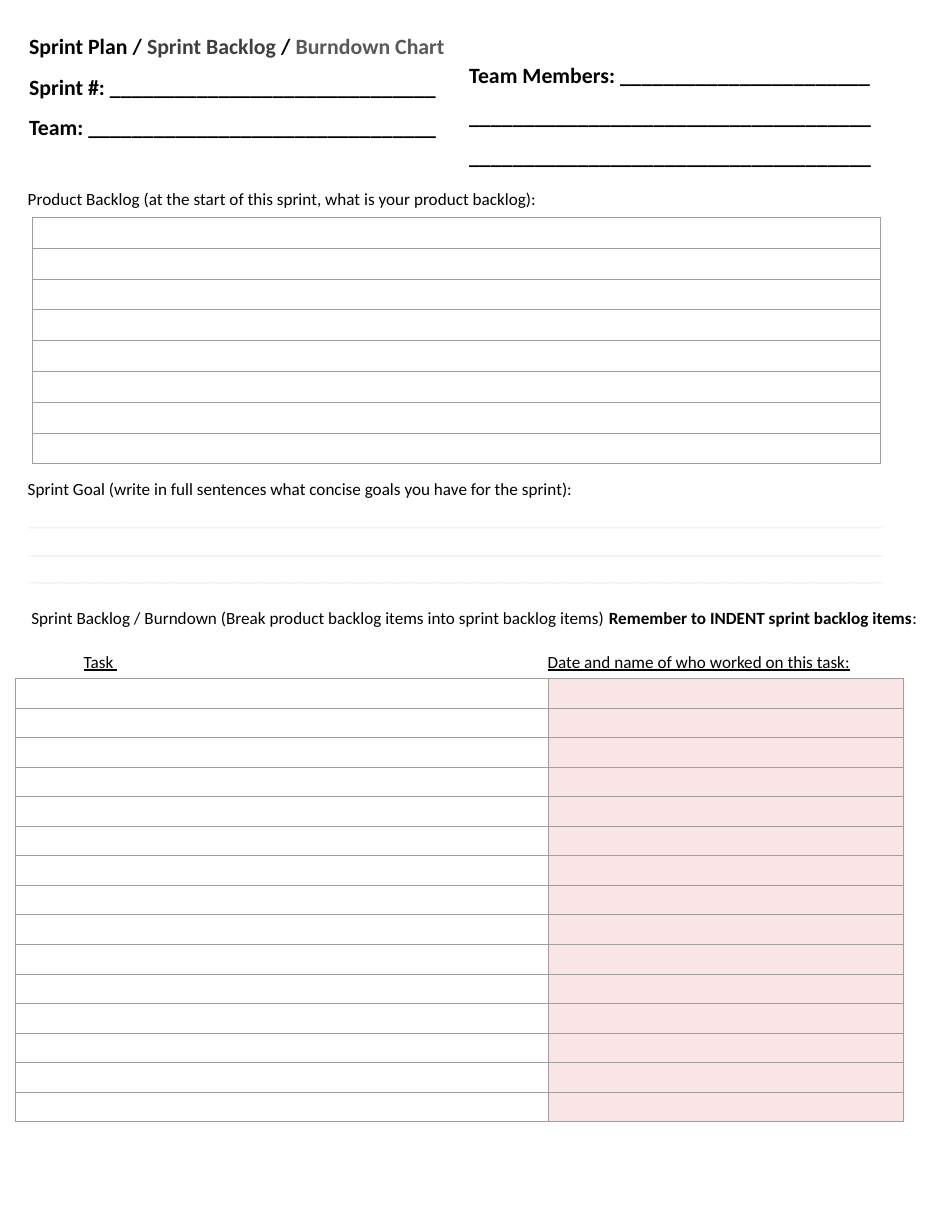
from lxml import etree
from pptx import Presentation
from pptx.dml.color import RGBColor
from pptx.oxml.ns import qn
from pptx.util import Cm, Pt

COLORS = {
    "ink": "000000",
    "backlog": "404040",
    "burndown": "595959",
    "grid": "9E9E9E",
    "rule": "F2F2F2",
    "worker": "FAE5E6",
}
BLANK_LAYOUT = 6
BORDER_SIDES = ("a:lnL", "a:lnR", "a:lnT", "a:lnB")


def add_text(slide, left, top, width, height, paragraphs, size,
             font="Calibri", spacing=1.0, after=0):
    """Place paragraphs of (text, color, bold, underline) runs in a box given in cm."""
    frame = slide.shapes.add_textbox(Cm(left), Cm(top), Cm(width), Cm(height)).text_frame
    frame.word_wrap = True
    for index, pieces in enumerate(paragraphs):
        paragraph = frame.add_paragraph() if index else frame.paragraphs[0]
        paragraph.line_spacing = spacing
        paragraph.space_after = Pt(after)
        for text, color, bold, underline in pieces:
            run = paragraph.add_run()
            run.text = text
            run.font.name = font
            run.font.size = Pt(size)
            run.font.bold = bold
            run.font.underline = underline
            run.font.color.rgb = RGBColor.from_string(COLORS[color])


def style_cell(cell, fill):
    """Give an empty cell thin borders, small text and an optional fill."""
    cell.margin_top = cell.margin_bottom = 0
    end = etree.SubElement(cell.text_frame.paragraphs[0]._p, qn("a:endParaRPr"))
    end.set("sz", "1100")
    properties = cell._tc.get_or_add_tcPr()
    for side in BORDER_SIDES:
        line = etree.SubElement(properties, qn(side), w=str(Pt(0.75)))
        solid = etree.SubElement(line, qn("a:solidFill"))
        etree.SubElement(solid, qn("a:srgbClr"), val=COLORS["grid"])
    if fill:
        cell.fill.solid()
        cell.fill.fore_color.rgb = RGBColor.from_string(COLORS[fill])
    else:
        cell.fill.background()


def add_grid(slide, left, top, columns, row_count, row_height):
    """Draw an empty table whose columns are (width, fill) pairs."""
    total = sum(width for width, _ in columns)
    grid = slide.shapes.add_table(row_count, len(columns), Cm(left), Cm(top),
                                  Cm(total), Cm(row_count * row_height)).table
    grid.first_row = grid.horz_banding = False
    for column, (width, _) in zip(grid.columns, columns):
        column.width = Cm(width)
    for row in grid.rows:
        row.height = Cm(row_height)
        for cell, (_, fill) in zip(row.cells, columns):
            style_cell(cell, fill)


def add_header(slide, left, top, width):
    """Write the title, the sprint and team blanks and the member lines."""
    title = [
        ("Sprint Plan / ", "ink", True, False),
        ("Sprint Backlog ", "backlog", True, False),
        ("/ ", "ink", True, False),
        ("Burndown Chart", "burndown", True, False),
    ]
    sprint = [("Sprint #: " + "_" * 30, "ink", True, False)]
    team = [("Team: " + "_" * 32, "ink", True, False)]
    members = [("Team Members: " + "_" * 23, "ink", True, False)]
    member_line = [("_" * 37, "ink", True, False)]
    column = 10.36
    add_text(slide, left, top, column, 2.72, [title, sprint, team], 14,
             spacing=1.07, after=8)
    add_text(slide, left + width - column, top + 0.66, column, 3.63,
             [members, member_line, member_line], 14, spacing=1.07, after=8)


def add_product_backlog(slide, left, top, width):
    """Write the product backlog prompt above its rows."""
    prompt = "Product Backlog (at the start of this sprint, what is your product backlog):"
    add_text(slide, left, top, width, 0.75, [[(prompt, "ink", False, False)]], 11)
    add_grid(slide, left + 0.36, top + 0.79, [(19.23, None)], 8, 0.7)


def add_sprint_goal(slide, left, top, width):
    """Write the sprint goal prompt above three pale writing lines."""
    prompt = "Sprint Goal (write in full sentences what concise goals you have for the sprint):"
    add_text(slide, left, top, width, 0.75, [[(prompt, "ink", False, False)]], 11)
    add_text(slide, left + 0.03, top + 0.55, 20.07, 2.1,
             [[("_" * 204, "rule", False, False)]], 14.5, font="Arial")


def add_sprint_backlog(slide, left, top, width):
    """Write the burndown prompt and column heads above the task table."""
    prompt = [
        ("Sprint Backlog / Burndown (Break product backlog items into sprint backlog items) ",
         "ink", False, False),
        ("Remember to INDENT sprint backlog items", "ink", True, False),
        (":", "ink", False, False),
    ]
    task_width, worker_width = 12.09, 8.03
    add_text(slide, left + 0.08, top, width, 0.75, [prompt], 11)
    heads = [("Task ", left + 1.27, 3),
             ("Date and name of who worked on this task:", left + 11.79, worker_width)]
    for head, head_left, head_width in heads:
        add_text(slide, head_left, top + 0.98, head_width, 0.75,
                 [[(head, "ink", False, True)]], 11)
    add_grid(slide, left - 0.02, top + 1.73,
             [(task_width, None), (worker_width, "worker")], 15, 0.67)


def main():
    """Build the sprint planning sheet."""
    deck = Presentation()
    deck.slide_width, deck.slide_height = Cm(21.59), Cm(27.94)
    sheet = deck.slides.add_slide(deck.slide_layouts[BLANK_LAYOUT])
    add_header(sheet, 0.41, 0.58, 20.34)
    add_product_backlog(sheet, 0.38, 4.14, 20.78)
    add_sprint_goal(sheet, 0.38, 10.72, 20.78)
    add_sprint_backlog(sheet, 0.38, 13.66, 20.78)
    deck.save("out.pptx")


if __name__ == "__main__":
    main()
